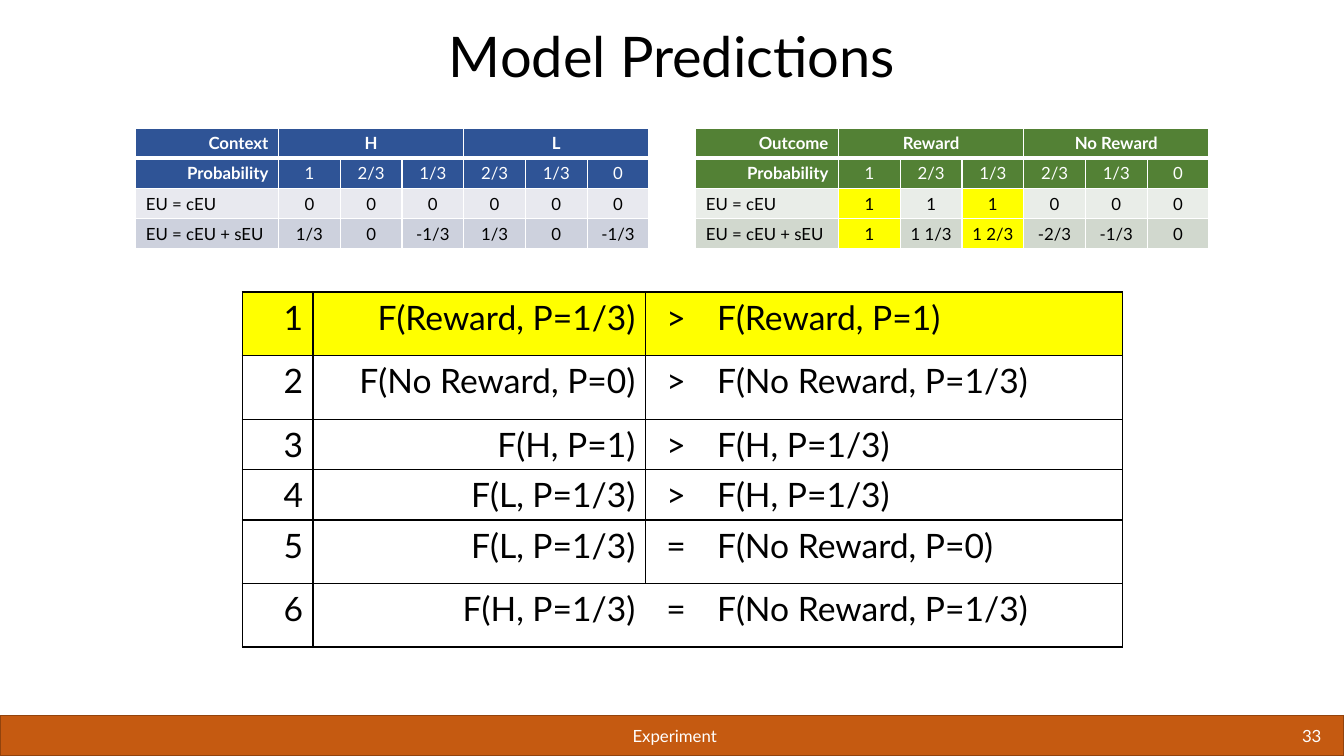
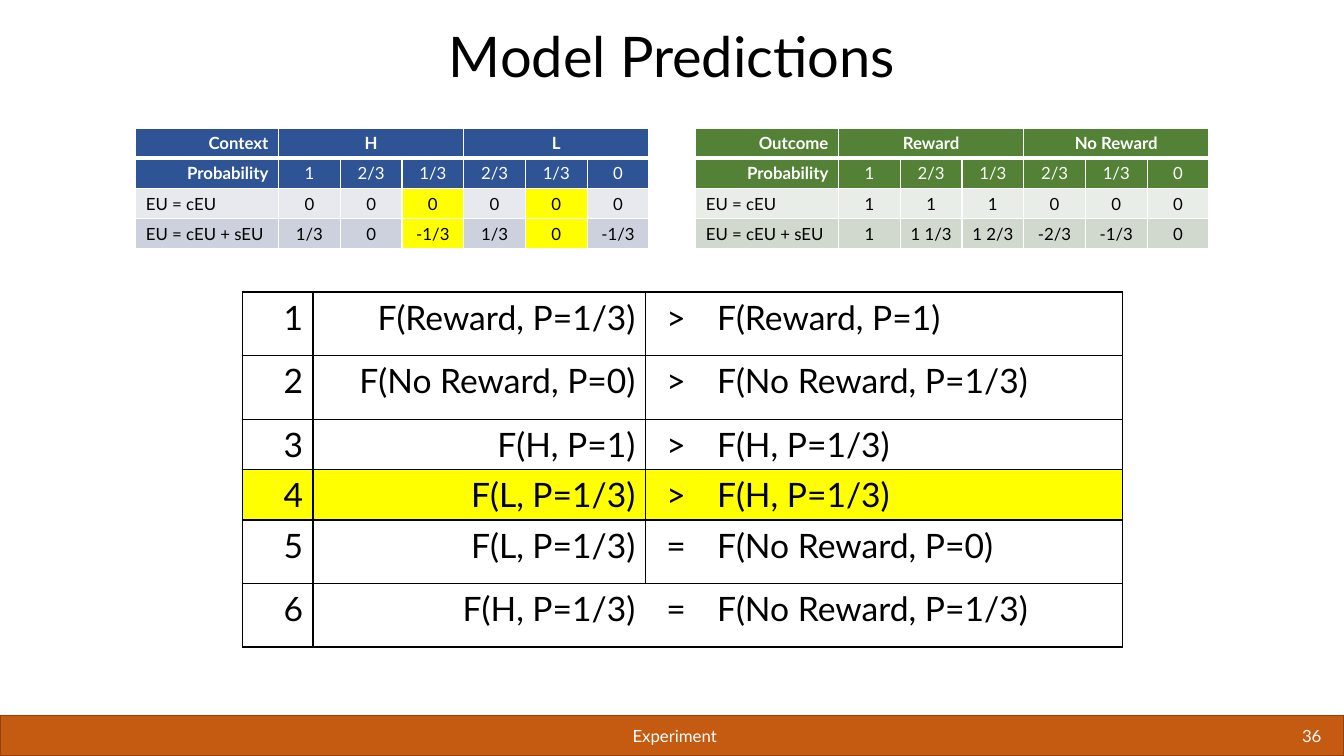
from lxml.etree import SubElement
from pptx import Presentation
from pptx.dml.color import RGBColor
from pptx.enum.shapes import MSO_SHAPE as Preset
from pptx.enum.text import MSO_ANCHOR as Anchor, PP_ALIGN as Align
from pptx.oxml.ns import qn
from pptx.util import Pt

# Shared style
FONT = "Lato"
BLACK, WHITE, YELLOW = "000000", "FFFFFF", "FFFF00"
BAND_FILL, BAND_LINE = "C55A11", "92430D"
SLIDE_WIDTH, SLIDE_HEIGHT = 960, 540
BAND_HEIGHT = 28.8
BAND_TOP = SLIDE_HEIGHT - BAND_HEIGHT

# Value tables: header fill, two body fills, left edge and rows
TABLE_TOP, VALUE_ROW = 91.4, 21.6
VALUE_COLUMNS = [102] + [44.1] * 6
PROBABILITIES = ["Probability", "1", "2/3", "1/3", "2/3", "1/3", "0"]
CONTEXT = dict(
    left=97, fills=["2F5496", "2F5496", "E8E9EF", "CDD1DD"],
    rows=[["Context", "H", "", "", "L", "", ""],
          PROBABILITIES,
          ["EU = cEU", "0", "0", "0", "0", "0", "0"],
          ["EU = cEU + sEU", "1/3", "0", "-1/3", "1/3", "0", "-1/3"]])
OUTCOME = dict(
    left=497, fills=["538135", "538135", "E9EDE8", "D1D8CE"],
    rows=[["Outcome", "Reward", "", "", "No Reward", "", ""],
          PROBABILITIES,
          ["EU = cEU", "1", "1", "1", "0", "0", "0"],
          ["EU = cEU + sEU", "1", "1 1/3", "1 2/3", "-2/3", "-1/3", "0"]])

# Predictions table
PREDICTION_COLUMNS = [50.6, 237.4, 44, 297]
PREDICTION_HEIGHTS = [45.4, 45.4, 36, 36, 45.4, 45.4]
PREDICTION_ALIGNS = [Align.RIGHT, Align.RIGHT, Align.CENTER, Align.LEFT]
PREDICTIONS = [
    ["1", "F(Reward, P=1/3)", ">", "F(Reward, P=1)"],
    ["2", "F(No Reward, P=0)", ">", "F(No Reward, P=1/3)"],
    ["3", "F(H, P=1)", ">", "F(H, P=1/3)"],
    ["4", "F(L, P=1/3)", ">", "F(H, P=1/3)"],
    ["5", "F(L, P=1/3)", "=", "F(No Reward, P=0)"],
    ["6", "F(H, P=1/3)", "=", "F(No Reward, P=1/3)"],
]

# Page number, highlighted prediction, highlighted columns of each value table
PAGES = [
    ("33", 1, set(), {1, 3}),
    ("36", 4, {3, 5}, set()),
]


def color(value):
    return RGBColor.from_string(value)


def write(text_frame, text, size, font_color, align, bold=False):
    text_frame.text = text
    paragraph = text_frame.paragraphs[0]
    paragraph.alignment = align
    for run in paragraph.runs:
        run.font.name = FONT
        run.font.size = Pt(size)
        run.font.bold = bold
        run.font.color.rgb = color(font_color)
    return paragraph


def add_text(slide, box, text, size, font_color, align, anchor=Anchor.MIDDLE):
    text_frame = slide.shapes.add_textbox(*map(Pt, box)).text_frame
    text_frame.word_wrap = True
    text_frame.vertical_anchor = anchor
    return write(text_frame, text, size, font_color, align)


def add_band(slide):
    band = slide.shapes.add_shape(
        Preset.RECTANGLE, Pt(0), Pt(BAND_TOP), Pt(SLIDE_WIDTH), Pt(BAND_HEIGHT))
    band.shadow.inherit = False
    band.fill.solid()
    band.fill.fore_color.rgb = color(BAND_FILL)
    band.line.color.rgb = color(BAND_LINE)
    band.line.width = Pt(1)


def add_frame(slide, page_number):
    """Add the title, footer band, section name and page number."""
    add_band(slide)
    title = add_text(slide, (47.5, 16.5, 865, 51), "Model Predictions", 40,
                     BLACK, Align.CENTER, Anchor.BOTTOM)
    title.line_spacing = 0.9
    add_text(slide, (161, BAND_TOP, 642, BAND_HEIGHT), "Experiment", 12,
             WHITE, Align.CENTER)
    add_text(slide, (803, BAND_TOP, 148, BAND_HEIGHT), page_number, 12,
             WHITE, Align.RIGHT)


def set_borders(cell, line_color, **widths):
    """Draw the four cell borders, 1 pt unless given; 0 means no line."""
    properties = cell._tc.get_or_add_tcPr()
    for side in "LRTB":
        width = widths.get(side, 1)
        line = SubElement(properties, qn(f"a:ln{side}"), w=str(Pt(width)))
        if width:
            fill = SubElement(line, qn("a:solidFill"))
            SubElement(fill, qn("a:srgbClr"), val=line_color)
        else:
            SubElement(line, qn("a:noFill"))


def set_fill(cell, fill_color):
    if fill_color:
        cell.fill.solid()
        cell.fill.fore_color.rgb = color(fill_color)
    else:
        cell.fill.background()


def add_grid(slide, left, top, widths, heights):
    table = slide.shapes.add_table(
        len(heights), len(widths), Pt(left), Pt(top),
        Pt(sum(widths)), Pt(sum(heights))).table
    table.first_row = table.horz_banding = False
    for column, width in zip(table.columns, widths):
        column.width = Pt(width)
    for row, height in zip(table.rows, heights):
        row.height = Pt(height)
    return table


def add_value_table(slide, left, fills, rows, highlighted):
    table = add_grid(slide, left, TABLE_TOP, VALUE_COLUMNS,
                     [VALUE_ROW] * len(rows))
    for r, values in enumerate(rows):
        is_header = r < 2
        for c, value in enumerate(values):
            cell = table.cell(r, c)
            set_borders(cell, WHITE, T=3 if r == 1 else 1, B=3 if r == 0 else 1)
            is_marked = not is_header and c in highlighted
            set_fill(cell, YELLOW if is_marked else fills[r])
            if c:
                align = Align.CENTER
            else:
                align = Align.RIGHT if is_header else Align.LEFT
            write(cell.text_frame, value, 12, WHITE if is_header else BLACK,
                  align, bold=r == 0 or (is_header and c == 0))
    for first in (1, 4):
        table.cell(0, first).merge(table.cell(0, first + 2))


def add_predictions(slide, highlighted):
    table = add_grid(slide, 173, 208.6, PREDICTION_COLUMNS, PREDICTION_HEIGHTS)
    last_row = len(PREDICTIONS) - 1
    for r, values in enumerate(PREDICTIONS):
        # The last row has no line before its sign
        divider = 0 if r == last_row else 1
        sides = [{}, {"R": divider}, {"L": divider, "R": 0}, {"L": 0}]
        for c, value in enumerate(values):
            cell = table.cell(r, c)
            set_borders(cell, BLACK, **sides[c])
            set_fill(cell, YELLOW if r + 1 == highlighted else None)
            write(cell.text_frame, value, 24, BLACK, PREDICTION_ALIGNS[c])


def main():
    presentation = Presentation()
    presentation.slide_width = Pt(SLIDE_WIDTH)
    presentation.slide_height = Pt(SLIDE_HEIGHT)
    blank = presentation.slide_layouts[6]
    for page_number, prediction, context_columns, outcome_columns in PAGES:
        slide = presentation.slides.add_slide(blank)
        add_frame(slide, page_number)
        add_predictions(slide, prediction)
        add_value_table(slide, **CONTEXT, highlighted=context_columns)
        add_value_table(slide, **OUTCOME, highlighted=outcome_columns)
    presentation.save("out.pptx")


if __name__ == "__main__":
    main()
